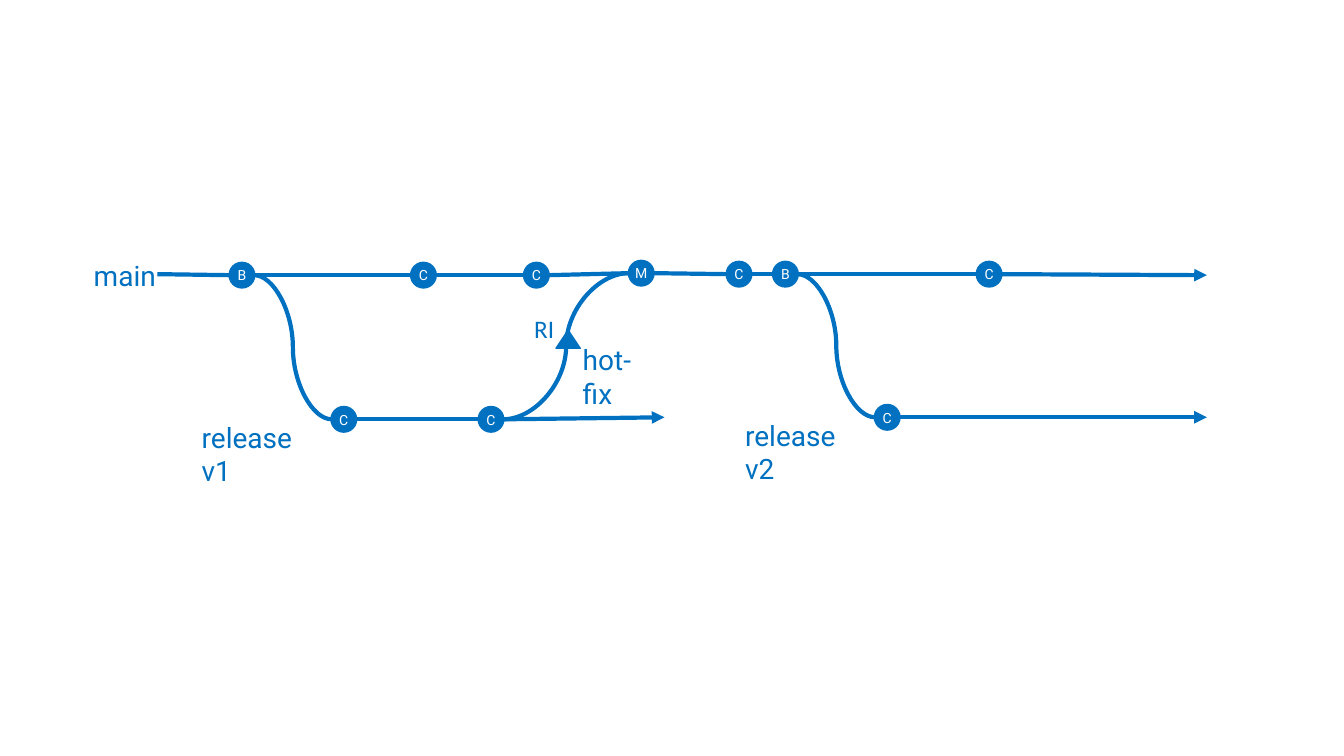
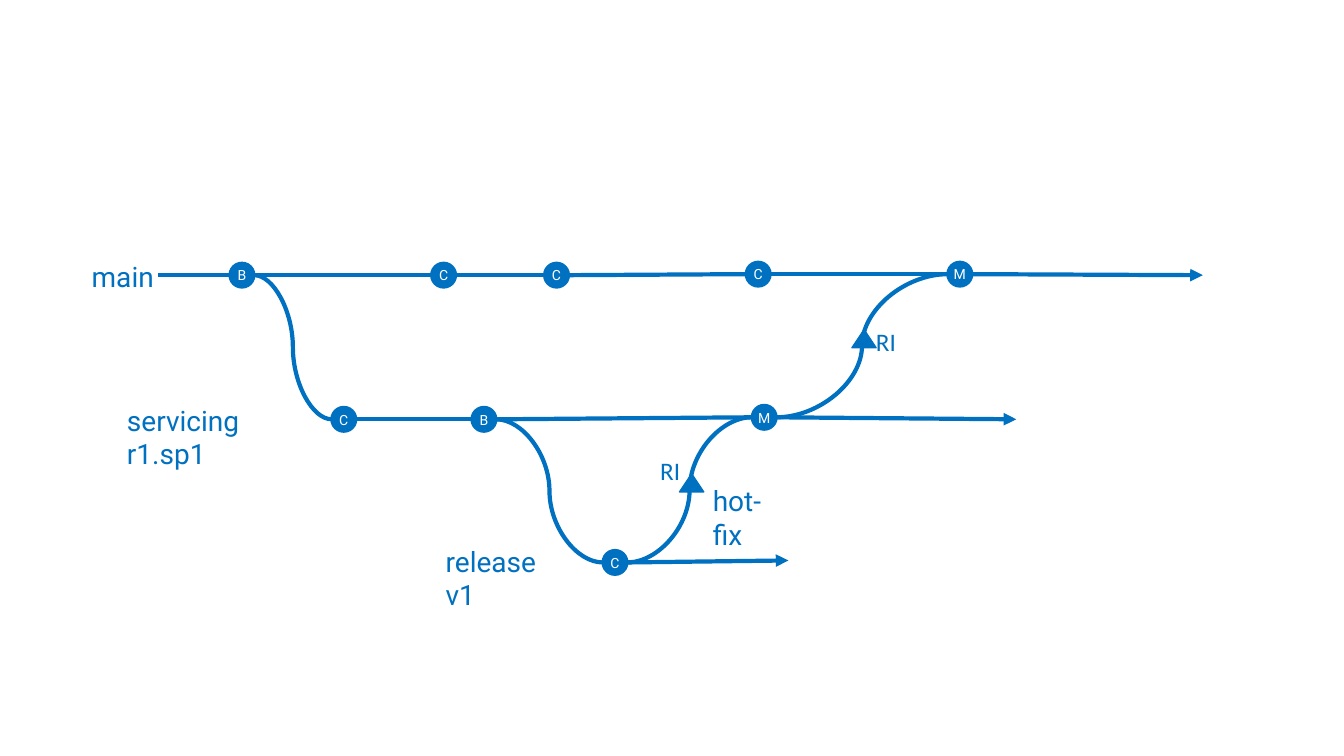
from dataclasses import dataclass
from itertools import pairwise

from lxml.etree import SubElement
from pptx import Presentation
from pptx.dml.color import RGBColor
from pptx.enum.shapes import MSO_CONNECTOR, MSO_SHAPE
from pptx.enum.text import MSO_ANCHOR, MSO_AUTO_SIZE, PP_ALIGN
from pptx.oxml.ns import qn
from pptx.util import Inches, Pt

BLUE = "0070C0"
WHITE = "FFFFFF"
FONT = "Roboto"
MARKER_FONT = "Calibri"
RADIUS = 0.12


def color(hex_string):
    """Turn a hex string into a colour."""
    return RGBColor.from_string(hex_string)


@dataclass
class Node:
    """A lettered point on a branch, placed by its centre."""

    letter: str
    x: float
    y: float

    @property
    def left(self):
        """Point where a line enters the node."""
        return self.x - RADIUS, self.y

    @property
    def right(self):
        """Point where a line leaves the node."""
        return self.x + RADIUS, self.y


class BranchDiagram:
    """Draws branch diagrams, one slide at a time."""

    def __init__(self, presentation):
        """Keep the presentation that receives the slides."""
        self.presentation = presentation
        self.slide = None

    def new_slide(self):
        """Start an empty slide."""
        self.slide = self.presentation.slides.add_slide(self.presentation.slide_layouts[6])

    def add_text(self, frame, text, size, hex_string, font=FONT):
        """Put one formatted run in the first paragraph."""
        run = frame.paragraphs[0].add_run()
        run.text = text
        run.font.size = Pt(size)
        run.font.name = font
        run.font.color.rgb = color(hex_string)
        return run

    def remove_insets(self, frame):
        """Let the text reach the edges of its frame."""
        frame.margin_left = frame.margin_top = frame.margin_right = frame.margin_bottom = 0

    def solid(self, kind, left, top, width, height, line_width):
        """Add a blue shape without a shadow."""
        shape = self.slide.shapes.add_shape(
            kind, Inches(left), Inches(top), Inches(width), Inches(height))
        shape.shadow.inherit = False
        shape.fill.solid()
        shape.fill.fore_color.rgb = color(BLUE)
        shape.line.color.rgb = color(BLUE)
        shape.line.width = Pt(line_width)
        return shape

    def line(self, start, end, kind=MSO_CONNECTOR.STRAIGHT, arrow=False):
        """Connect two points, with an arrowhead at the end if asked."""
        connector = self.slide.shapes.add_connector(
            kind, *(Inches(value) for value in (*start, *end)))
        connector.line.color.rgb = color(BLUE)
        connector.line.width = Pt(3)
        properties = connector._element.spPr
        if arrow:
            SubElement(properties.find(qn("a:ln")), qn("a:tailEnd"), type="triangle")
        SubElement(properties, qn("a:effectLst"))

    def node(self, node):
        """Draw a circle with its letter."""
        left, top = node.x - RADIUS, node.y - RADIUS
        shape = self.solid(MSO_SHAPE.OVAL, left, top, 2 * RADIUS, 2 * RADIUS, 2)
        frame = shape.text_frame
        self.remove_insets(frame)
        frame.vertical_anchor = MSO_ANCHOR.BOTTOM
        frame.paragraphs[0].alignment = PP_ALIGN.CENTER
        run = self.add_text(frame, node.letter, 10, WHITE)
        run._r.get_or_add_rPr().set("spc", "-50")

    def lane(self, nodes, end=None, start=None):
        """Draw a branch: its lines, its nodes and its closing arrow."""
        if start:
            self.line(start, nodes[0].left)
        for first, second in pairwise(nodes):
            self.line(first.right, second.left)
        if end:
            self.line(nodes[-1].right, end, arrow=True)
        for node in nodes:
            self.node(node)

    def branch(self, source, target):
        """Curve from one branch to another."""
        self.line(source.right, target.left, MSO_CONNECTOR.CURVE)

    def merge(self, source, target, marker_left, marker_top):
        """Curve back to a parent branch, with a triangle and an RI mark."""
        self.branch(source, target)
        width, height = 0.24, 0.18
        middle_x = (source.x + target.x) / 2 + 0.02
        middle_y = (source.y + target.y) / 2 - 0.07
        self.solid(MSO_SHAPE.ISOSCELES_TRIANGLE, middle_x - width / 2,
                   middle_y - height / 2, width, height, 1)
        frame = self.text_frame(marker_left, marker_top, 0.4, 0.4, False)
        self.add_text(frame, "RI", 18, BLUE, MARKER_FONT)

    def text_frame(self, left, top, width, height, wrap):
        """Add a text box that grows with its text."""
        box = self.slide.shapes.add_textbox(
            Inches(left), Inches(top), Inches(width), Inches(height))
        frame = box.text_frame
        frame.word_wrap = wrap
        frame.auto_size = MSO_AUTO_SIZE.SHAPE_TO_FIT_TEXT
        return frame

    def label(self, text, left, top, width):
        """Name a branch."""
        frame = self.text_frame(left, top, width, 0.34, True)
        self.remove_insets(frame)
        self.add_text(frame, text, 20, BLUE)


def release_slide(diagram):
    """Draw two releases, with a hot-fix merged to main."""
    diagram.new_slide()
    branch_v1 = Node("B", 2.4, 2.73)
    merge = Node("M", 6.36, 2.71)
    branch_v2 = Node("B", 7.79, 2.72)
    first_v1 = Node("C", 3.41, 4.16)
    hot_fix = Node("C", 4.87, 4.16)
    first_v2 = Node("C", 8.8, 4.14)

    diagram.lane([branch_v1, Node("C", 4.2, 2.73), Node("C", 5.32, 2.73), merge,
                  Node("C", 7.33, 2.72), branch_v2, Node("C", 9.81, 2.72)],
                 end=(11.97, 2.73), start=(1.56, 2.72))
    diagram.lane([first_v1, hot_fix], end=(6.59, 4.14))
    diagram.lane([first_v2], end=(11.97, 4.14))
    diagram.branch(branch_v1, first_v1)
    diagram.branch(branch_v2, first_v2)
    diagram.merge(hot_fix, merge, 5.2, 3.06)
    diagram.label("main", 0.93, 2.56, 0.66)
    diagram.label("release v1", 2, 4.17, 1.12)
    diagram.label("release v2", 7.39, 4.15, 1.12)
    diagram.label("hot-fix", 5.78, 3.4, 0.7)


def servicing_slide(diagram):
    """Draw a servicing branch between main and the release."""
    diagram.new_slide()
    branch_servicing = Node("B", 2.4, 2.73)
    merge_main = Node("M", 9.52, 2.72)
    first_servicing = Node("C", 3.41, 4.16)
    branch_release = Node("B", 4.8, 4.16)
    merge_servicing = Node("M", 7.58, 4.14)
    hot_fix = Node("C", 6.1, 5.58)

    diagram.lane([branch_servicing, Node("C", 4.4, 2.73), Node("C", 5.52, 2.73),
                  Node("C", 7.52, 2.72), merge_main],
                 end=(11.93, 2.73), start=(1.57, 2.73))
    diagram.lane([first_servicing, branch_release, merge_servicing], end=(10.08, 4.16))
    diagram.lane([hot_fix], end=(7.82, 5.56))
    diagram.branch(branch_servicing, first_servicing)
    diagram.branch(branch_release, hot_fix)
    diagram.merge(hot_fix, merge_servicing, 6.45, 4.47)
    diagram.merge(merge_servicing, merge_main, 8.59, 3.19)
    diagram.label("main", 0.91, 2.57, 0.66)
    diagram.label("servicing r1.sp1", 1.26, 4, 1.74)
    diagram.label("release v1", 4.42, 5.4, 1.12)
    diagram.label("hot-fix", 7.07, 4.8, 0.7)


presentation = Presentation()
presentation.slide_width = Inches(13.33)
presentation.slide_height = Inches(7.5)
diagram = BranchDiagram(presentation)
release_slide(diagram)
servicing_slide(diagram)
presentation.save("out.pptx")
